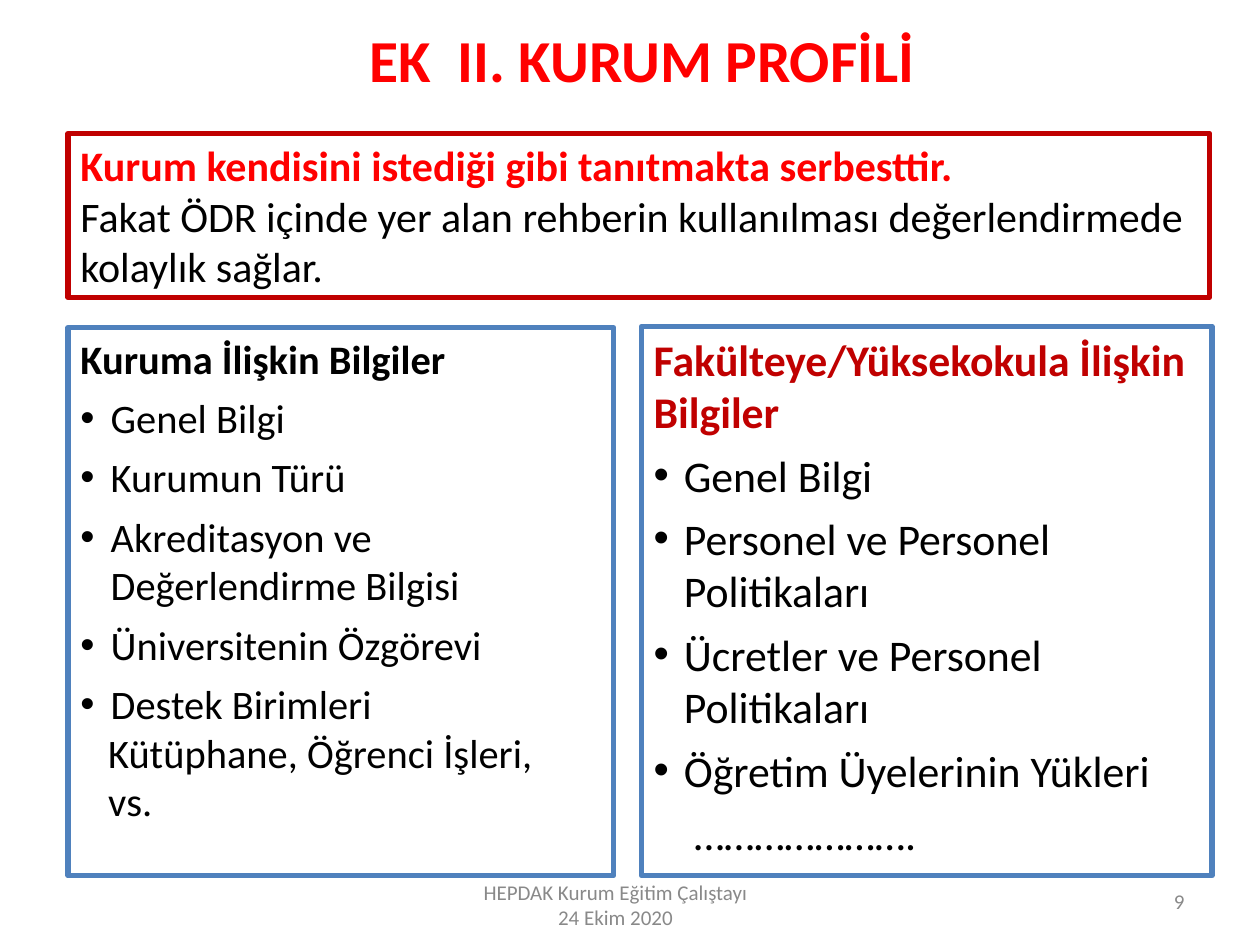
import pptx
import pptx.util
import pptx.dml.color
import pptx.enum.shapes
import pptx.enum.text
import lxml.etree

Inches, Pt = pptx.util.Inches, pptx.util.Pt
ALIGN = pptx.enum.text.PP_ALIGN
ANCHOR = pptx.enum.text.MSO_ANCHOR

WIDE, HIGH = 10, 7.5
LEFT = 0.54
BASE = 6.95
HANG = 0.24
RED, DARK, BLUE, GREY, BLACK = "FF0000", "C00000", "4F81BD", "898989", "000000"

TITLE = "EK  II. KURUM PROFİLİ"
INTRO = [
    ("head", "Kurum kendisini istediği gibi tanıtmakta serbesttir."),
    ("text", "Fakat ÖDR içinde yer alan rehberin kullanılması "
             "değerlendirmede kolaylık sağlar."),
]
SCHOOL = [
    ("head", "Kuruma İlişkin Bilgiler"),
    ("item", "Genel Bilgi"),
    ("item", "Kurumun Türü"),
    ("item", "Akreditasyon ve Değerlendirme Bilgisi"),
    ("item", "Üniversitenin Özgörevi"),
    ("item", "Destek Birimleri"),
    ("more", "Kütüphane, Öğrenci İşleri,"),
    ("more", "vs."),
]
FACULTY = [
    ("head", "Fakülteye/Yüksekokula İlişkin Bilgiler"),
    ("item", "Genel Bilgi"),
    ("item", "Personel ve Personel Politikaları"),
    ("item", "Ücretler ve Personel Politikaları"),
    ("item", "Öğretim Üyelerinin Yükleri"),
    ("rest", "…………………."),
]
# left, top, width, height, line colour, heading colour, text size, rows
PANELS = [
    (LEFT, 2.6, 4.33, BASE - 2.6, BLUE, BLACK, 23.1, SCHOOL),
    (5.09, 2.59, 4.53, BASE - 2.59, BLUE, DARK, 25, FACULTY),
    (LEFT, 1.06, 9.06, 1.3, DARK, RED, 24, INTRO),
]
# left, top, width, alignment, lines
NOTES = [
    (7.17, 6.95, 2.33, ALIGN.RIGHT, ["9"]),
    (3.3, 6.98, 3.17, ALIGN.CENTER,
     ["HEPDAK Kurum Eğitim Çalıştayı", "24 Ekim 2020"]),
]
# margin in inches and space before in points, by kind of row
STYLES = {"head": (0, 0), "text": (0, 0), "item": (HANG, 6.2),
          "more": (0.22, 0), "rest": (0.32, 6.2)}


def color(code):
    return pptx.dml.color.RGBColor.from_string(code)


def style(para, size, code, bold=False, align=ALIGN.LEFT):
    para.alignment = align
    font = para.font
    font.name, font.size, font.bold = "Calibri", Pt(size), bold
    font.color.rgb = color(code)


def indent(para, kind):
    margin, before = STYLES[kind]
    para.space_before = Pt(before)
    props = para._p.get_or_add_pPr()
    props.set("marL", str(Inches(margin)))
    if kind == "item":
        props.set("indent", str(-Inches(HANG)))
        space = pptx.oxml.ns.qn
        lxml.etree.SubElement(props, space("a:buFont"), typeface="Arial")
        lxml.etree.SubElement(props, space("a:buChar"), char="•")


def lines(frame, texts):
    """Put one text in each paragraph and return the paragraphs."""
    frame.word_wrap = True
    frame.text = "\n".join(texts)
    return frame.paragraphs


def panel(slide, left, top, width, height, edge, head, size, rows):
    box = slide.shapes.add_shape(
        pptx.enum.shapes.MSO_SHAPE.RECTANGLE,
        *map(Inches, (left, top, width, height)))
    box.shadow.inherit = False
    box.fill.background()
    box.line.color.rgb = color(edge)
    box.line.width = Pt(3)
    frame = box.text_frame
    frame.vertical_anchor = ANCHOR.TOP
    paras = lines(frame, [text for _, text in rows])
    for para, (kind, _) in zip(paras, rows):
        first = kind == "head"
        indent(para, kind)
        style(para, size, head if first else BLACK, first)


def note(slide, left, top, width, align, texts):
    box = slide.shapes.add_textbox(*map(Inches, (left, top, width, 0.4)))
    box.text_frame.vertical_anchor = ANCHOR.MIDDLE
    for para in lines(box.text_frame, texts):
        style(para, 12, GREY, align=align)


def main():
    deck = pptx.Presentation()
    deck.slide_width, deck.slide_height = Inches(WIDE), Inches(HIGH)
    slide = deck.slides.add_slide(deck.slide_layouts.get_by_name("Title Only"))
    title = slide.shapes.title
    title.left, title.top = Inches(0.67), Inches(0.1)
    title.width, title.height = Inches(8.85), Inches(0.73)
    title.text_frame.vertical_anchor = ANCHOR.MIDDLE
    style(lines(title.text_frame, [TITLE])[0], 34, RED, True, ALIGN.CENTER)
    for row in PANELS:
        panel(slide, *row)
    for row in NOTES:
        note(slide, *row)
    deck.save("out.pptx")


if __name__ == "__main__":
    main()
